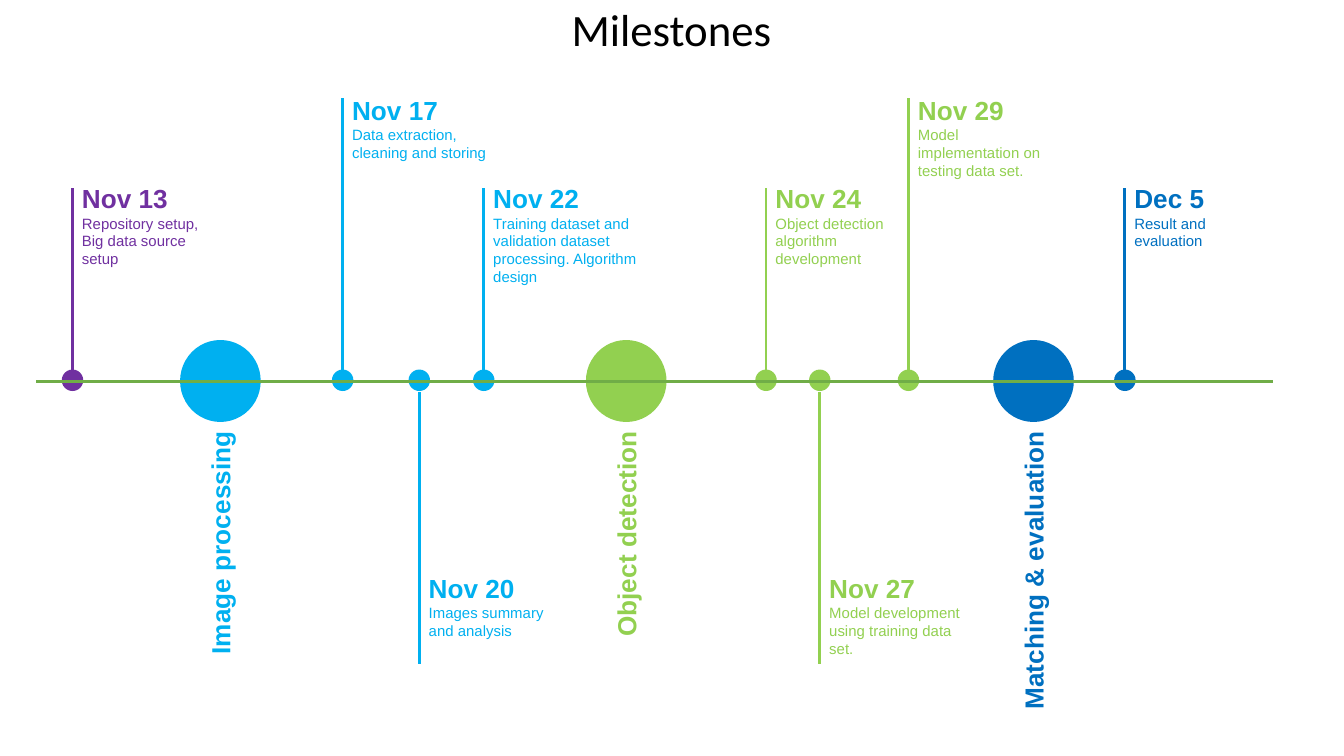
"""Build a project timeline slide with dated milestones and three phases."""
from pptx import Presentation
from pptx.dml.color import RGBColor
from pptx.enum import shapes, text
from pptx.oxml import ns
from pptx.util import Inches, Pt
from lxml import etree

COLORS = {"black": "000000", "purple": "7030A0", "sky": "00B0F0",
          "lime": "92D050", "blue": "0070C0", "axis": "70AD47"}
AXIS_Y, DOT, CIRCLE_W, CIRCLE_H = 2.84, 0.16, 0.6, 0.61
DOT_TOP, DOT_BOTTOM = 2.75, 2.92
LABEL_TOP, LABEL_H = 3.21, 0.24

prs = Presentation()
prs.slide_width = Inches(10)
prs.slide_height = Inches(10 * 9 / 16)
s = prs.slides.add_slide(prs.slide_layouts[6])


def add_text(lines, x, y, w, h, color, sizes=(14, 8), font="Arial", bold=True,
             align=text.PP_ALIGN.LEFT, anchor=text.MSO_ANCHOR.TOP,
             inset=0, rotation=0, fit=text.MSO_AUTO_SIZE.SHAPE_TO_FIT_TEXT):
    tb = s.shapes.add_textbox(Inches(x), Inches(y), Inches(w), Inches(h))
    tb.rotation = rotation
    tf = tb.text_frame
    tf.word_wrap, tf.auto_size, tf.vertical_anchor = True, fit, anchor
    tf.margin_left = tf.margin_right = Inches(inset)
    tf.margin_top = tf.margin_bottom = Inches(inset)
    for i, line in enumerate(lines):
        p = tf.add_paragraph() if i else tf.paragraphs[0]
        p.alignment = align
        r = p.add_run()
        r.text = line
        r.font.name, r.font.size = font, Pt(sizes[min(i, 1)])
        r.font.bold = bold and i == 0
        r.font.color.rgb = RGBColor.from_string(COLORS[color])


def add_line(x1, y1, x2, y2, color):
    ln = s.shapes.add_connector(shapes.MSO_CONNECTOR.STRAIGHT, Inches(x1),
                                Inches(y1), Inches(x2), Inches(y2))
    ln.line.color.rgb = RGBColor.from_string(COLORS[color])
    ln.line.width = Pt(1.5)
    etree.SubElement(ln._element.spPr, ns.qn("a:effectLst"))


add_text(["Milestones"], 1.52, -0.02, 6.95, 0.46, "black", sizes=(24,),
         font="Calibri", bold=False, align=text.PP_ALIGN.CENTER,
         anchor=text.MSO_ANCHOR.MIDDLE, inset=0.1, fit=text.MSO_AUTO_SIZE.NONE)

phases = [
    (1.64, "Image processing", 2.09, "sky"),
    (4.66, "Object detection", 2.09, "lime"),
    (7.69, "Matching & evaluation", 2.7, "blue"),
]
milestones = [
    (0.54, 1.4, 1.36, 3, "purple",
     ["Nov 13", "Repository setup,", "Big data source setup"]),
    (2.55, 0.73, 0.7, 2, "sky",
     ["Nov 17", "Data extraction, cleaning and storing"]),
    (3.12, 4.94, 4.26, 2, "sky", ["Nov 20", "Images summary and analysis"]),
    (3.6, 1.4, 1.36, 4, "sky",
     ["Nov 22", "Training dataset and validation dataset processing. "
      "Algorithm design"]),
    (5.7, 1.4, 1.36, 3, "lime",
     ["Nov 24", "Object detection algorithm development"]),
    (6.1, 4.94, 4.26, 3, "lime",
     ["Nov 27", "Model development using training data set."]),
    (6.76, 0.73, 0.7, 3, "lime",
     ["Nov 29", "Model implementation on testing data set."]),
    (8.37, 1.4, 1.36, 2, "blue", ["Dec 5", "Result and evaluation"]),
]

markers = [(x, 2.53, CIRCLE_W, CIRCLE_H, color) for x, _, _, color in phases]
markers += [(m[0], DOT_TOP, DOT, DOT, m[4]) for m in milestones]
for x, y, w, h, color in markers:
    sp = s.shapes.add_shape(shapes.MSO_SHAPE.OVAL, Inches(x - w / 2),
                            Inches(y), Inches(w), Inches(h))
    sp.shadow.inherit = False
    sp.fill.solid()
    sp.fill.fore_color.rgb = RGBColor.from_string(COLORS[color])
    sp.line.fill.background()

for x, stem_end, text_top, rows, color, lines in milestones:
    stem_start = DOT_TOP if stem_end < AXIS_Y else DOT_BOTTOM
    add_line(x, stem_start, x, stem_end, color)
    add_text(lines, x + 0.07, text_top, 1.07, 0.24 + 0.13 * rows, color)

for x, name, length, color in phases:
    add_text([name], x - length / 2, LABEL_TOP + (length - LABEL_H) / 2,
             length, LABEL_H, color, align=text.PP_ALIGN.RIGHT, rotation=270)

add_line(0.27, AXIS_Y, 9.47, AXIS_Y, "axis")

prs.save("out.pptx")
